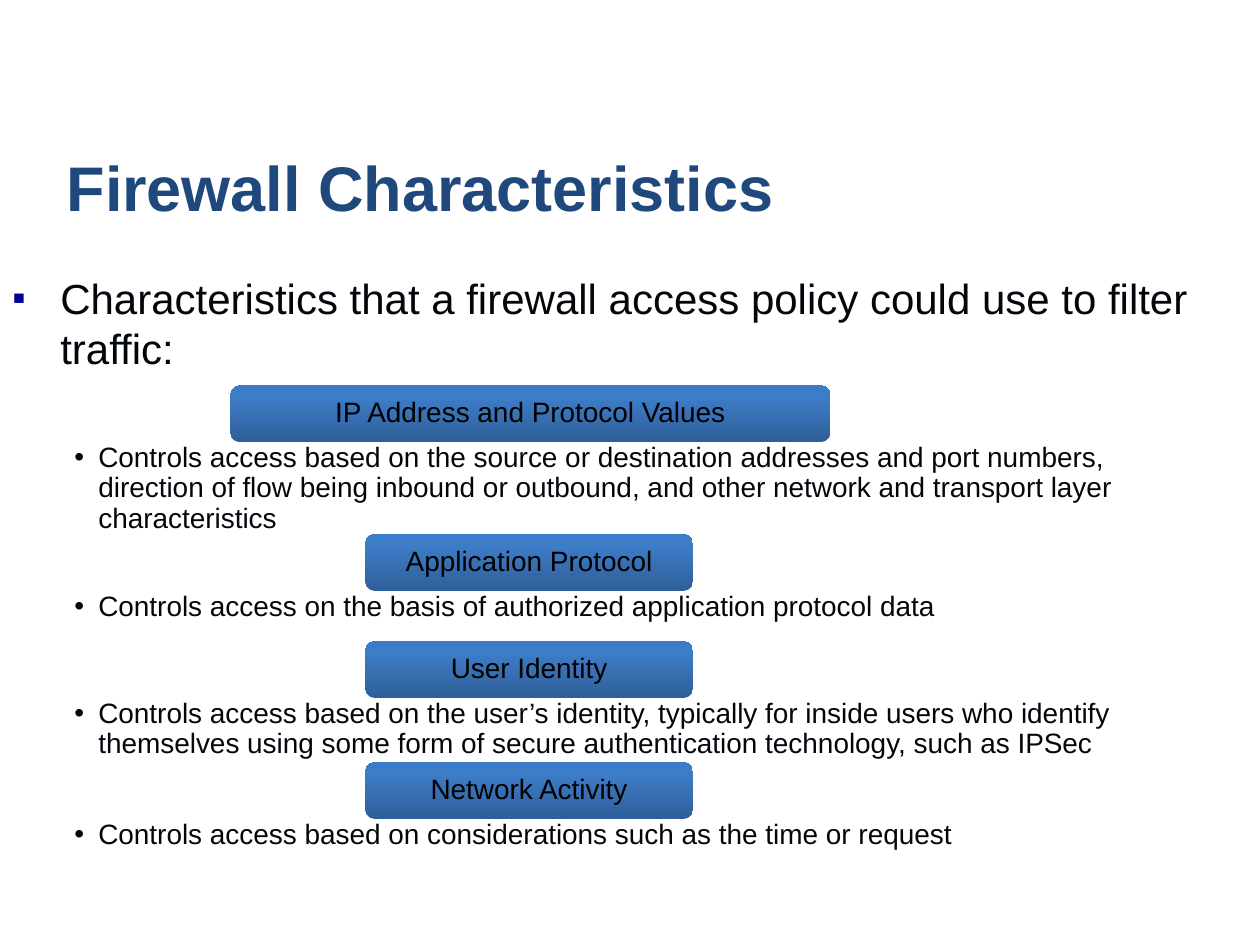
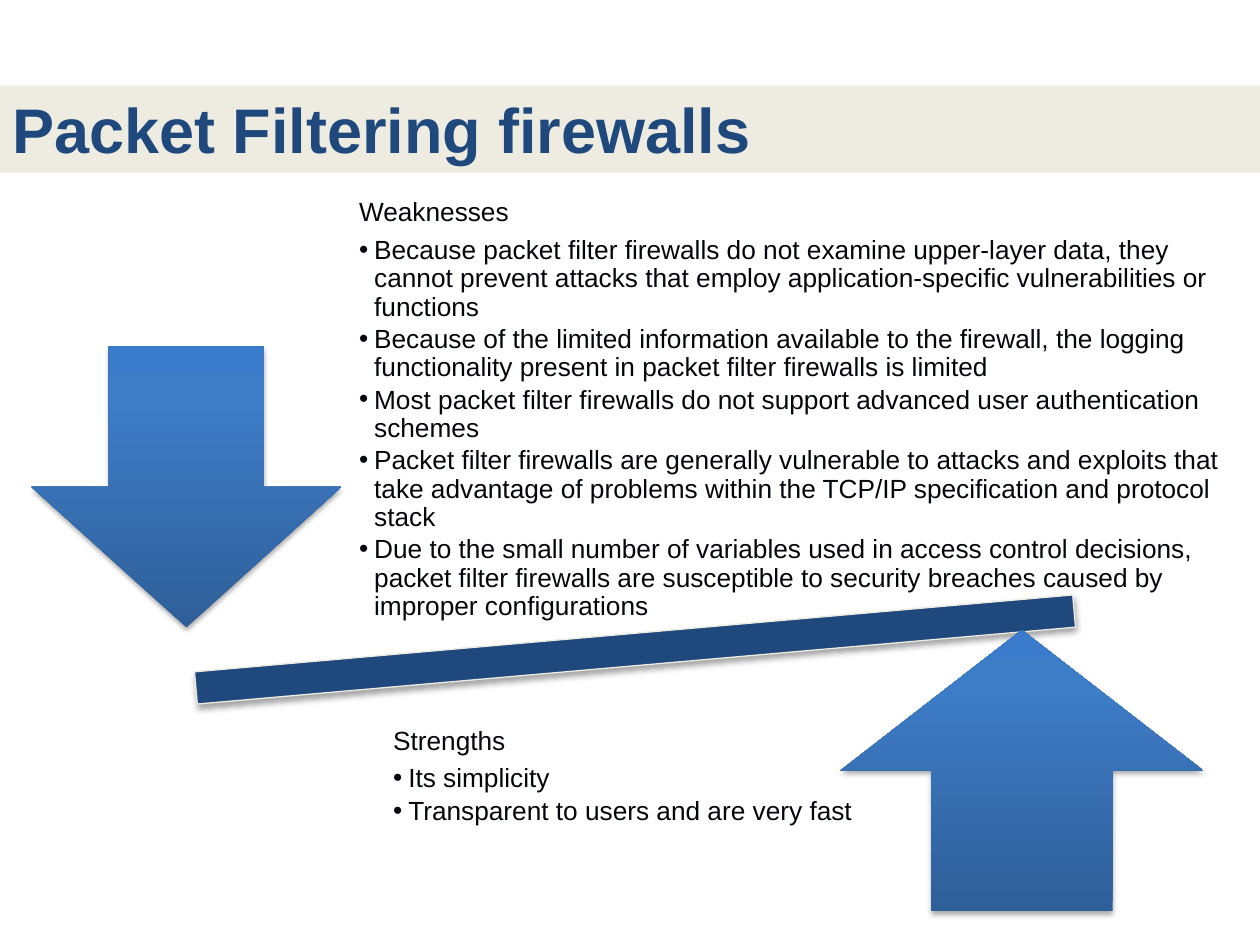
"""Build two slides on firewall characteristics and packet filtering."""
from copy import deepcopy
from dataclasses import dataclass

from lxml.etree import SubElement
from pptx import Presentation
from pptx.dml.color import RGBColor
from pptx.enum.shapes import MSO_SHAPE
from pptx.enum.text import MSO_ANCHOR, PP_ALIGN
from pptx.oxml.ns import qn
from pptx.util import Emu, Pt

EMU_PER_PX = 9144


@dataclass(frozen=True)
class Theme:
    """Colours, font and type sizes shared by both slides."""
    font: str = "Arial"
    navy: str = "1F497D"
    sand: str = "EEECE1"
    ink: str = "03070C"
    label: str = "000000"
    marker: str = "000099"
    white: str = "FFFFFF"
    gradient: tuple = ((0, "2F5F99"), (0.8, "3D7CC7"), (1, "3A7CCB"))
    title_size: int = 36
    lead_size: int = 24
    detail_size: int = 16
    list_size: int = 15
    tight: float = 0.9


THEME = Theme()

CRITERIA = (
    ("IP Address and Protocol Values", 183, 306, 476,
     "Controls access based on the source or destination addresses and port numbers, "
     "direction of flow being inbound or outbound, and other network and transport layer "
     "characteristics"),
    ("Application Protocol", 290, 424, 260,
     "Controls access on the basis of authorized application protocol data"),
    ("User Identity", 290, 509, 260,
     "Controls access based on the user’s identity, typically for inside users who identify "
     "themselves using some form of secure authentication technology, such as IPSec"),
    ("Network Activity", 290, 605, 260,
     "Controls access based on considerations such as the time or request"),
)
WEAKNESSES = (
    "Because packet filter firewalls do not examine upper-layer data, they cannot prevent "
    "attacks that employ application-specific vulnerabilities or functions",
    "Because of the limited information available to the firewall, the logging functionality "
    "present in packet filter firewalls is limited",
    "Most packet filter firewalls do not support advanced user authentication schemes",
    "Packet filter firewalls are generally vulnerable to attacks and exploits that take "
    "advantage of problems within the TCP/IP specification and protocol stack",
    "Due to the small number of variables used in access control decisions, packet filter "
    "firewalls are susceptible to security breaches caused by improper configurations",
)
STRENGTHS = ("Its simplicity", "Transparent to users and are very fast")


def px(length):
    """Turn px into EMU."""
    return Emu(length * EMU_PER_PX)


def box(left, top, width, height):
    """Turn a px rectangle into EMU."""
    return [px(length) for length in (left, top, width, height)]


def paint(shape, color):
    """Give a shape a solid fill."""
    shape.fill.solid()
    shape.fill.fore_color.rgb = RGBColor.from_string(color)


def paint_gradient(shape):
    """Fill a shape with the theme gradient, darkest at the bottom."""
    shape.fill.gradient()
    shape.fill.gradient_angle = 90
    stops = shape._element.spPr.find(qn("a:gradFill")).find(qn("a:gsLst"))
    stops.insert(1, deepcopy(stops[0]))
    for stop, (position, color) in zip(shape.fill.gradient_stops, THEME.gradient):
        stop.position = position
        stop.color.rgb = RGBColor.from_string(color)


def cast_shadow(shape):
    """Add a soft shadow straight below a shape."""
    effects = shape._element.spPr.find(qn("a:effectLst"))
    shadow = SubElement(effects, qn("a:outerShdw"), blurRad=str(Pt(3.1)),
                        dist=str(Pt(1.8)), dir="5400000", rotWithShape="0")
    color = SubElement(shadow, qn("a:srgbClr"), val="000000")
    SubElement(color, qn("a:alpha"), val="35000")


def add_preset(slide, preset, area):
    """Add a preset shape without outline or shadow."""
    shape = slide.shapes.add_shape(preset, *box(*area))
    shape.shadow.inherit = False
    shape.line.fill.background()
    return shape


def add_bullet(paragraph, indent, symbol="•", color=None, percent=100):
    """Hang a paragraph on a bullet."""
    properties = paragraph._p.get_or_add_pPr()
    properties.set("marL", str(px(indent)))
    properties.set("indent", str(px(-indent)))
    if color:
        SubElement(SubElement(properties, qn("a:buClr")), qn("a:srgbClr"), val=color)
    SubElement(properties, qn("a:buSzPct"), val=str(percent * 1000))
    SubElement(properties, qn("a:buFont"), typeface=THEME.font)
    SubElement(properties, qn("a:buChar"), char=symbol)


def write(shape, lines, size, color, bold=False, anchor=MSO_ANCHOR.TOP,
          insets=(10, 5, 10, 5), align=PP_ALIGN.LEFT, spacing=None):
    """Set the text of a shape and return its paragraphs."""
    frame = shape.text_frame
    frame.text = "\n".join(lines)
    frame.word_wrap = True
    frame.vertical_anchor = anchor
    (frame.margin_left, frame.margin_top,
     frame.margin_right, frame.margin_bottom) = map(px, insets)
    for paragraph in frame.paragraphs:
        paragraph.alignment = align
        paragraph.line_spacing = spacing
        for run in paragraph.runs:
            run.font.name = THEME.font
            run.font.size = Pt(size)
            run.font.bold = bold
            run.font.color.rgb = RGBColor.from_string(color)
    return frame.paragraphs


def add_title(slide, title, area, band=None):
    """Add a slide title, on a coloured band if one is given."""
    heading = slide.shapes.add_textbox(*box(*area))
    if band:
        paint(heading, band)
    write(heading, [title], THEME.title_size, THEME.navy, bold=True,
          anchor=MSO_ANCHOR.BOTTOM)


def add_lead(slide, sentence, area):
    """Add the opening statement with its square marker."""
    lead = slide.shapes.add_textbox(*box(*area))
    paint(lead, THEME.white)
    paragraph, = write(lead, [sentence], THEME.lead_size, THEME.ink)
    add_bullet(paragraph, 38, "▪", THEME.marker, 90)


def add_criterion(slide, name, left, top, width, explanation):
    """Add a named pill with its explanation underneath."""
    pill = add_preset(slide, MSO_SHAPE.ROUNDED_RECTANGLE, (left, top, width, 45))
    paint_gradient(pill)
    write(pill, [name], THEME.detail_size, THEME.label, anchor=MSO_ANCHOR.MIDDLE,
          insets=(7, 7, 7, 7), align=PP_ALIGN.CENTER, spacing=THEME.tight)
    detail = slide.shapes.add_textbox(*box(30, top + 44, 925, 40))
    paragraph, = write(detail, [explanation], THEME.detail_size, THEME.ink,
                       insets=(29, 2, 12, 2), spacing=THEME.tight)
    add_bullet(paragraph, 19)


def add_balance_bar(slide, area):
    """Add the tilted bar between weaknesses and strengths."""
    bar = add_preset(slide, MSO_SHAPE.MATH_MINUS, area)
    bar.rotation = 355
    paint(bar, THEME.navy)
    bar.line.color.rgb = RGBColor.from_string(THEME.sand)
    bar.line.width = Pt(0.75)
    cast_shadow(bar)


def add_side(slide, preset, arrow_area, heading, points, text_area):
    """Add one side of the balance: an arrow and its headed list."""
    arrow = add_preset(slide, preset, arrow_area)
    paint_gradient(arrow)
    cast_shadow(arrow)
    side = slide.shapes.add_textbox(*box(*text_area))
    first, *rest = write(side, [heading, *points], THEME.list_size, THEME.ink,
                         anchor=MSO_ANCHOR.MIDDLE, insets=(12, 12, 12, 12),
                         spacing=THEME.tight)
    first.space_after = Pt(THEME.list_size * 0.35)
    for paragraph in rest:
        add_bullet(paragraph, 12)
        paragraph.space_after = Pt(THEME.list_size * 0.15)


def build_characteristics(slide):
    """Fill the slide on firewall characteristics."""
    add_title(slide, "Firewall Characteristics", (43, 100, 921, 83))
    add_lead(slide, "Characteristics that a firewall access policy could use to filter "
             "traffic:", (0, 211, 985, 517))
    for criterion in CRITERIA:
        add_criterion(slide, *criterion)


def build_packet_filtering(slide):
    """Fill the slide that weighs packet filtering firewalls."""
    add_title(slide, "Packet Filtering firewalls", (0, 68, 1000, 69), THEME.sand)
    add_balance_bar(slide, (28, 461, 952, 109))
    add_side(slide, MSO_SHAPE.DOWN_ARROW, (25, 275, 246, 223),
             "Weaknesses", WEAKNESSES, (273, 208, 727, 235))
    add_side(slide, MSO_SHAPE.UP_ARROW, (667, 500, 288, 223),
             "Strengths", STRENGTHS, (300, 499, 478, 235))


def main():
    """Build and save the presentation."""
    deck = Presentation()
    deck.slide_width, deck.slide_height = px(1000), px(750)
    blank = deck.slide_layouts[6]
    for build in (build_characteristics, build_packet_filtering):
        build(deck.slides.add_slide(blank))
    deck.save("out.pptx")


if __name__ == "__main__":
    main()
